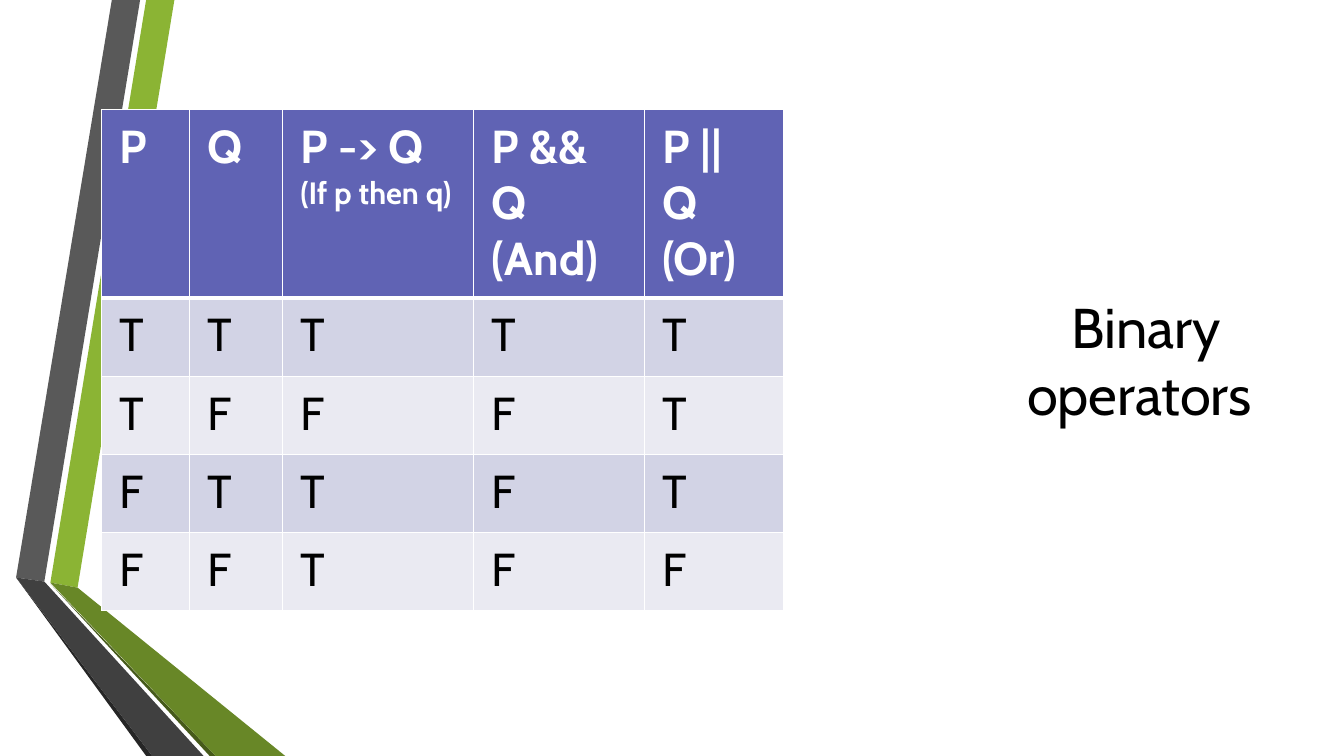
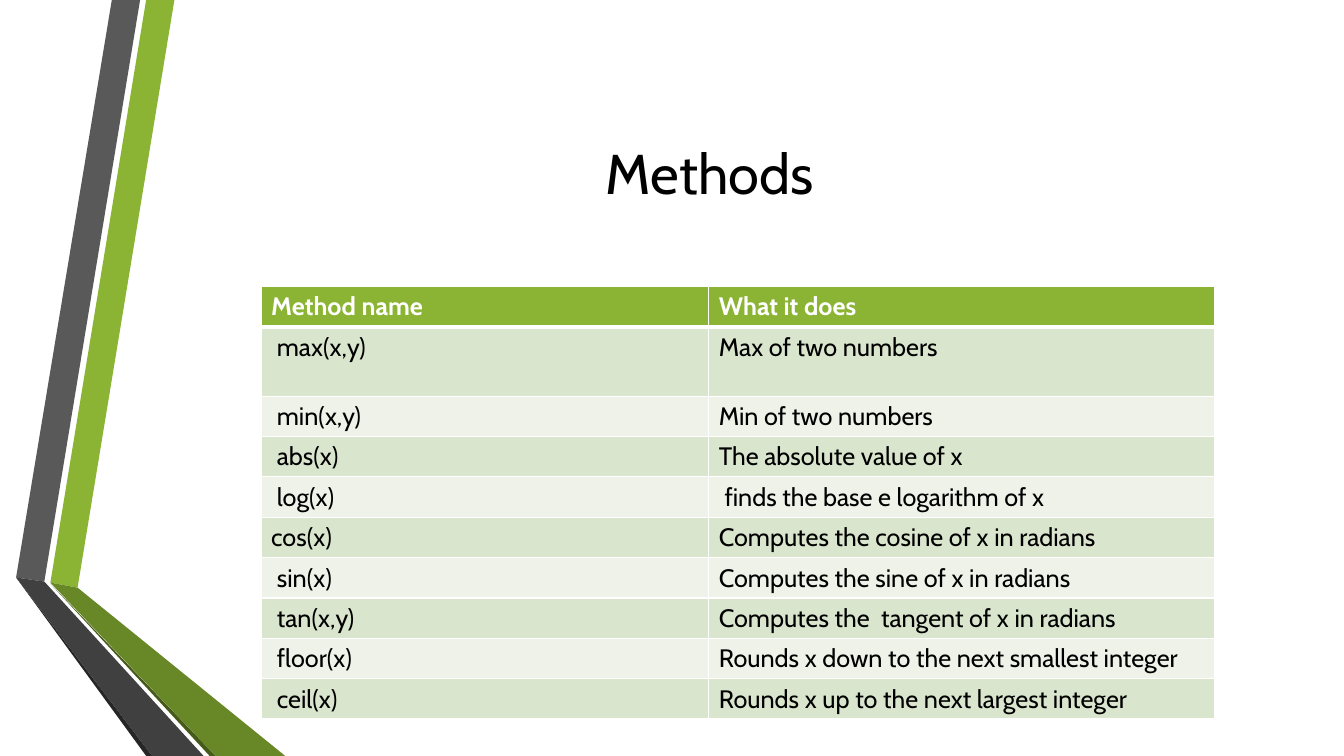
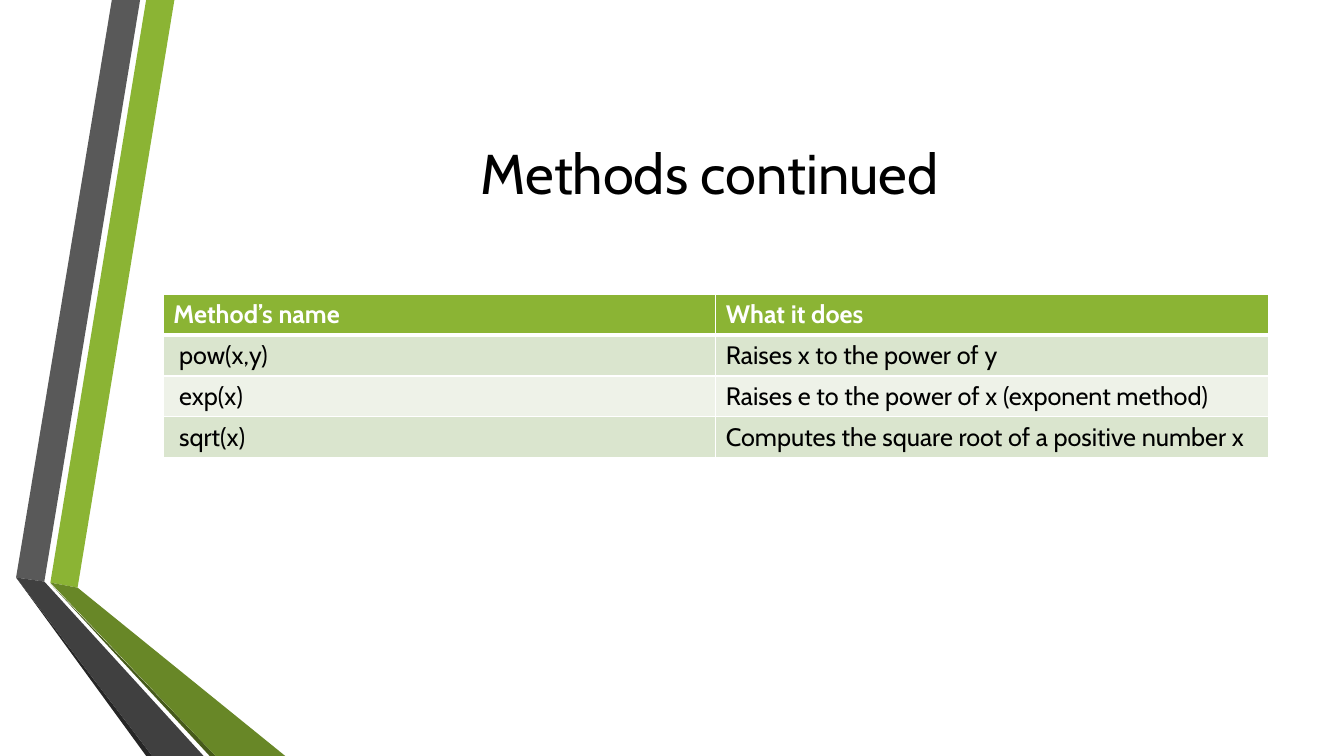
from dataclasses import dataclass

from lxml.etree import SubElement
from pptx import Presentation
from pptx.dml.color import RGBColor
from pptx.enum.text import MSO_ANCHOR, PP_ALIGN
from pptx.oxml.ns import qn
from pptx.util import Inches, Pt


@dataclass(frozen=True)
class Theme:
    font: str = "Cabin"
    ink: str = "000000"
    paper: str = "FFFFFF"
    green: str = "8BB434"
    green_bands: tuple = ("DAE5CE", "EEF2E8")
    violet: str = "6063B4"
    violet_bands: tuple = ("D2D3E5", "EAEAF2")
    title_size: int = 40
    truth_size: int = 33
    note_size: int = 22
    method_size: int = 18
    thin: int = 1
    thick: int = 3


theme = Theme()

# The grid has 75 rows; its cells are square, and all lengths below count them.
SLIDE_WIDTH, SLIDE_HEIGHT = Inches(13.33), Inches(7.5)
CELL = SLIDE_HEIGHT // 75

WIDE_TITLE = (16.2, 7.5, 109.6, 19.2)
SIDE_TITLE = (100.3, 11.7, 26.7, 47.9)

RIBBON = [
    (theme.green, [(5, 57.8), (7.7, 58.3), (17.3, 0), (14.5, 0)]),
    ("595959", [(13.9, 0), (11.1, 0), (1.6, 57.3), (4.4, 57.7)]),
    ("262626", [(1.6, 57.3), (14.5, 75), (15.1, 75)]),
    ("465A1A", [(5, 57.9), (20.8, 75), (21.4, 75)]),
    ("688727", [(5, 57.8), (21.4, 75), (28.3, 75), (7.7, 58.3)]),
    ("404040", [(20.2, 75), (4.4, 57.7), (1.6, 57.3), (15.1, 75)]),
]

TRUTH_STYLE = dict(header=theme.violet, bands=theme.violet_bands,
                   size=theme.truth_size, inset=(1.8, 0.9))
METHOD_STYLE = dict(header=theme.green, bands=theme.green_bands,
                    size=theme.method_size, inset=(1, 0.5))
NOTE = "(If p then q)"

SLIDES = [
    dict(
        title="Binary operators ", title_box=SIDE_TITLE, style=TRUTH_STYLE,
        corner=(10.1, 10.9), columns=[8.7, 9.2, 19, 16.9, 13.8],
        rows=[18.7] + [7.75] * 4,
        cells=[
            ("P", "Q", f"P -> Q\n{NOTE}", "P && Q\n(And)", "P || Q\n(Or)"),
            *("TTTTT", "TFFFT", "FTTFT", "FFTFF"),
        ],
    ),
    dict(
        title="Methods ", title_box=WIDE_TITLE, style=METHOD_STYLE,
        corner=(25.9, 28.4), columns=[44.4, 50.2],
        rows=[4, 6.9] + [4] * 8,
        cells=[
            ("Method name", "What it does"),
            (" max(x,y)", "Max of two numbers"),
            (" min(x,y)", "Min of two numbers"),
            (" abs(x)", "The absolute value of x"),
            (" log(x)", " finds the base e logarithm of x"),
            ("cos(x)", "Computes the cosine of x in radians"),
            (" sin(x)", "Computes the sine of x in radians"),
            (" tan(x,y)", "Computes the  tangent of x in radians"),
            (" floor(x)", "Rounds x down to the next smallest integer"),
            (" ceil(x)", "Rounds x up to the next largest integer"),
        ],
    ),
    dict(
        title="Methods continued ", title_box=WIDE_TITLE, style=METHOD_STYLE,
        corner=(16.2, 29.2), columns=[54.8, 54.8], rows=[4.05] * 4,
        cells=[
            ("Method’s name", "What it does"),
            (" pow(x,y)", "Raises x to the power of y"),
            (" exp(x)", "Raises e to the power of x (exponent method)"),
            (" sqrt(x)", "Computes the square root of a positive number x"),
        ],
    ),
]


def write(paragraph, text, size, color, bold=False):
    run = paragraph.add_run()
    run.text = text
    formats = dict(name=theme.font, size=Pt(size), bold=bold)
    for name, value in formats.items():
        setattr(run.font, name, value)
    run.font.color.rgb = RGBColor.from_string(color)


def add_borders(cell, widths):
    """Draw the left, right, top and bottom borders, in that order."""
    properties = cell._tc.get_or_add_tcPr()
    for position, (side, width) in enumerate(zip("LRTB", widths)):
        line = SubElement(properties, qn(f"a:ln{side}"), w=str(Pt(width)))
        fill = SubElement(line, qn("a:solidFill"))
        SubElement(fill, qn("a:srgbClr"), val=theme.paper)
        properties.insert(position, line)


presentation = Presentation()
presentation.slide_width, presentation.slide_height = SLIDE_WIDTH, SLIDE_HEIGHT
blank_layout = presentation.slide_layouts[6]

for index, content in enumerate(SLIDES):
    slide = presentation.slides.add_slide(blank_layout)

    # The ribbon is drawn once, then moved to the layout that all slides share.
    if index == 0:
        ribbon = slide.shapes.add_group_shape()
        for color, corners in RIBBON:
            points = [(round(x * CELL), round(y * CELL)) for x, y in corners]
            builder = ribbon.shapes.build_freeform(*points[0])
            builder.add_line_segments(points[1:], close=True)
            strip = builder.convert_to_shape()
            strip.shadow.inherit = False
            strip.fill.solid()
            strip.fill.fore_color.rgb = RGBColor.from_string(color)
            strip.line.fill.background()
        blank_layout.shapes.element.append(ribbon._element)

    title_box = [round(length * CELL) for length in content["title_box"]]
    title = slide.shapes.add_textbox(*title_box).text_frame
    title_formats = dict(word_wrap=True, vertical_anchor=MSO_ANCHOR.MIDDLE)
    for name, value in title_formats.items():
        setattr(title, name, value)
    title.paragraphs[0].alignment = PP_ALIGN.CENTER
    write(title.paragraphs[0], content["title"], theme.title_size, theme.ink)

    columns, rows, style = content["columns"], content["rows"], content["style"]
    table_box = (*content["corner"], sum(columns), sum(rows))
    table = slide.shapes.add_table(
        len(rows), len(columns), *[round(length * CELL) for length in table_box]
    ).table
    for column, width in zip(table.columns, columns):
        column.width = round(width * CELL)
    for row, height in zip(table.rows, rows):
        row.height = round(height * CELL)

    side, top = [round(length * CELL) for length in style["inset"]]
    margins = dict(margin_left=side, margin_right=side,
                   margin_top=top, margin_bottom=top)
    for row_index, texts in enumerate(content["cells"]):
        is_header = row_index == 0
        fill = style["header"] if is_header else style["bands"][(row_index - 1) % 2]
        above = theme.thick if row_index == 1 else theme.thin
        below = theme.thick if is_header else theme.thin
        for column_index, text in enumerate(texts):
            cell = table.cell(row_index, column_index)
            for name, value in margins.items():
                setattr(cell, name, value)
            cell.fill.solid()
            cell.fill.fore_color.rgb = RGBColor.from_string(fill)
            add_borders(cell, (theme.thin, theme.thin, above, below))
            frame = cell.text_frame
            for line_index, line in enumerate(text.split("\n")):
                paragraph = frame.add_paragraph() if line_index else frame.paragraphs[0]
                write(paragraph, line,
                      size=theme.note_size if line == NOTE else style["size"],
                      color=theme.paper if is_header else theme.ink,
                      bold=is_header)

presentation.save("out.pptx")
